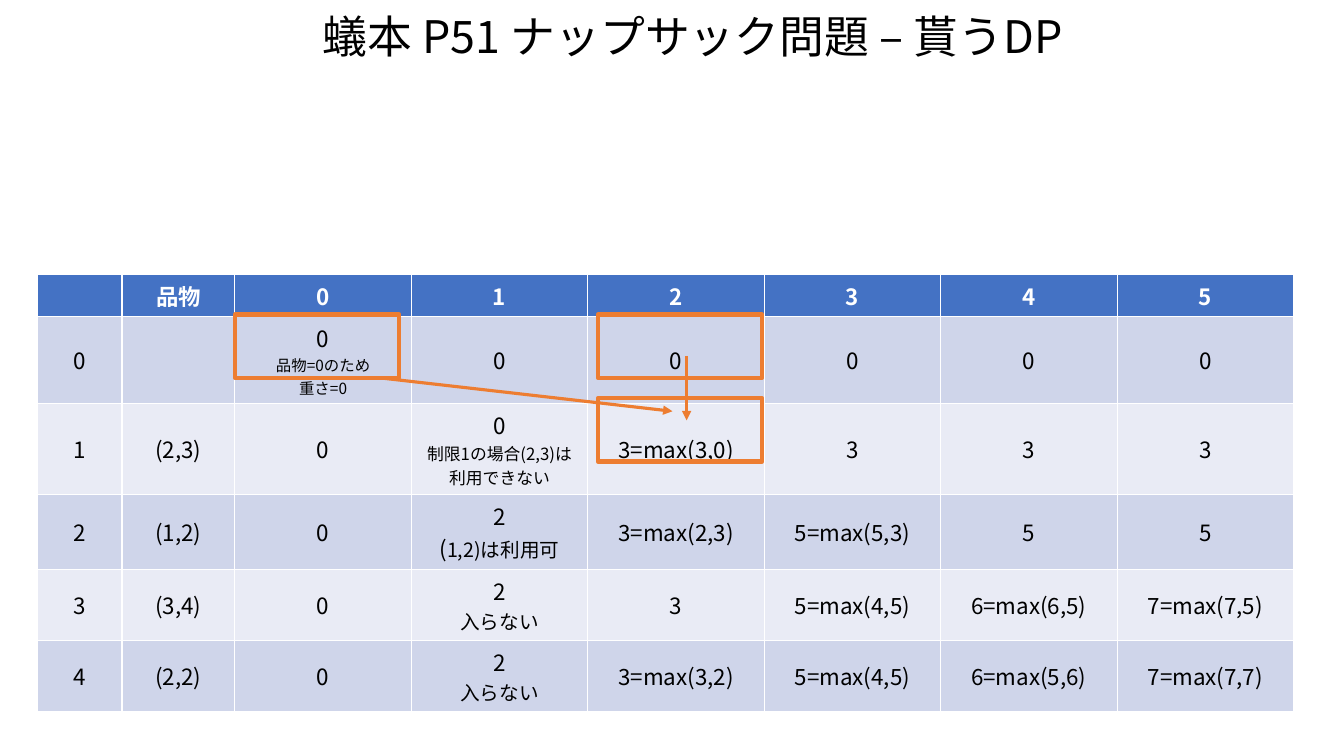
from lxml import etree
from pptx import Presentation
from pptx.dml.color import RGBColor
from pptx.enum import shapes, text
from pptx.oxml import ns
from pptx.util import Inches, Pt

# Content
TITLE = "蟻本 P51 ナップサック問題 – 貰うDP"
ROWS = [
    ["", "品物", "0", "1", "2", "3", "4", "5"],
    ["0", "", "0", "0", "0", "0", "0", "0"],
    ["1", "(2,3)", "0", "0", "3=max(3,0)", "3", "3", "3"],
    ["2", "(1,2)", "0", "2", "3=max(2,3)", "5=max(5,3)", "5", "5"],
    ["3", "(3,4)", "0", "2", "3", "5=max(4,5)", "6=max(6,5)", "7=max(7,5)"],
    ["4", "(2,2)", "0", "2", "3=max(3,2)", "5=max(4,5)", "6=max(5,6)", "7=max(7,7)"],
]
# Extra lines under a value, by (row, column); each line is a list of (words, size)
NOTES = {
    (1, 2): [[("品物=0のため", 11)], [("重さ=0", 11)]],
    (2, 3): [[("制限1の場合(2,3)は利用できない", 12)]],
    (3, 3): [[("(", 16), ("1,2)は利用可", 14)]],
    (4, 3): [[("入らない", 14)]],
    (5, 3): [[("入らない", 14)]],
}
WIDTHS = [0.84, 1.12] + [1.75] * 6
HEIGHTS = [0.34, 0.69, 0.65, 0.58, 0.61, 0.58]
BOXES = [(2.33, 3.12), (5.93, 3.95), (5.93, 3.12)]
ARROWS = [((6.81, 3.53), (6.81, 4.17)), ((3.78, 3.75), (6.67, 4.08))]
FONT = "Noto Sans CJK JP"
HEX = {"head": "4472C4", "odd": "CFD5EA", "even": "E9EBF5",
       "mark": "ED7D31", "white": "FFFFFF", "black": "000000"}


def color(name):
    return RGBColor.from_string(HEX[name])


def style(run, size, tint, bold=False):
    font = run.font
    font.size, font.bold, font.name = Pt(size), bold, FONT
    font.color.rgb = color(tint)
    east = etree.Element(ns.qn("a:ea"), typeface=FONT)
    font._element.find(ns.qn("a:latin")).addnext(east)


def fill_cell(cell, row, col):
    head = row == 0
    cell.fill.solid()
    cell.fill.fore_color.rgb = color("head" if head else "odd" if row % 2 else "even")
    cell.vertical_anchor = text.MSO_ANCHOR.TOP if head else text.MSO_ANCHOR.MIDDLE
    frame = cell.text_frame
    value = ROWS[row][col]
    if not value:
        # An empty cell must not make its row taller
        etree.SubElement(frame.paragraphs[0]._p, ns.qn("a:endParaRPr"), sz="1600")
        return
    for i, line in enumerate([[(value, 16)]] + NOTES.get((row, col), [])):
        para = frame.add_paragraph() if i else frame.paragraphs[0]
        para.alignment = text.PP_ALIGN.CENTER
        for words, size in line:
            run = para.add_run()
            run.text = words
            style(run, size, "white" if head else "black", head)


def add_title(slide):
    title = slide.shapes.title
    title.left, title.top = Inches(1.12), Inches(0.04)
    title.width, title.height = Inches(11.5), Inches(0.64)
    frame = title.text_frame
    frame.text = TITLE
    frame.word_wrap = True
    frame.auto_size = text.MSO_AUTO_SIZE.NONE
    frame.vertical_anchor = text.MSO_ANCHOR.BOTTOM
    para = frame.paragraphs[0]
    para.alignment, para.line_spacing = text.PP_ALIGN.CENTER, 0.9
    style(para.runs[0], 32, "black")


def add_grid(slide):
    grid = slide.shapes.add_table(
        len(ROWS), len(WIDTHS), Inches(0.37), Inches(2.72),
        Inches(sum(WIDTHS)), Inches(sum(HEIGHTS))).table
    for column, width in zip(grid.columns, WIDTHS):
        column.width = Inches(width)
    for row, height in enumerate(HEIGHTS):
        grid.rows[row].height = Inches(height)
        for col in range(len(WIDTHS)):
            fill_cell(grid.cell(row, col), row, col)


def add_marks(slide):
    # Frames around the cells in play
    for left, top in BOXES:
        box = slide.shapes.add_shape(
            shapes.MSO_SHAPE.RECTANGLE, Inches(left), Inches(top),
            Inches(1.63), Inches(0.63))
        box.shadow.inherit = False
        box.fill.background()
        box.line.color.rgb = color("mark")
        box.line.width = Pt(3)
    # Arrows to the cell being computed
    for start, end in ARROWS:
        arrow = slide.shapes.add_connector(
            shapes.MSO_CONNECTOR.STRAIGHT, *map(Inches, start + end))
        arrow.line.color.rgb = color("mark")
        arrow.line.width = Pt(2.25)
        etree.SubElement(arrow.line._get_or_add_ln(), ns.qn("a:tailEnd"), type="triangle")
        etree.SubElement(arrow._element.spPr, ns.qn("a:effectLst"))


def main():
    deck = Presentation()
    deck.slide_width, deck.slide_height = Inches(13.33), Inches(7.5)
    slide = deck.slides.add_slide(deck.slide_layouts[5])
    add_grid(slide)
    add_title(slide)
    add_marks(slide)
    deck.save("out.pptx")


if __name__ == "__main__":
    main()
